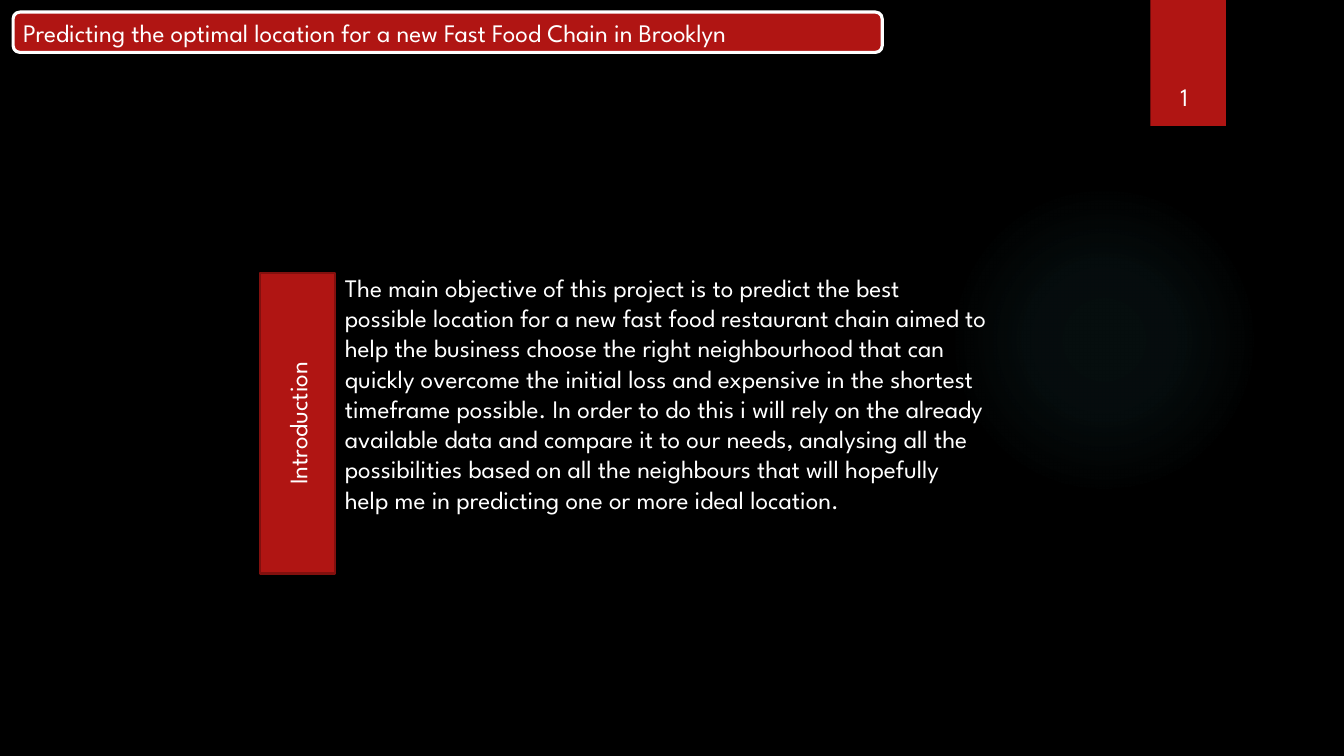
from lxml import etree
from pptx import Presentation
from pptx.dml.color import RGBColor
from pptx.enum.shapes import MSO_SHAPE
from pptx.enum.text import MSO_ANCHOR, MSO_AUTO_SIZE, PP_ALIGN
from pptx.oxml import parse_xml
from pptx.oxml.ns import nsdecls, qn
from pptx.util import Inches, Pt

RECT = MSO_SHAPE.RECTANGLE
ROUND = MSO_SHAPE.ROUNDED_RECTANGLE
OVAL = MSO_SHAPE.OVAL
TOP, MIDDLE = MSO_ANCHOR.TOP, MSO_ANCHOR.MIDDLE
LEFT, CENTER = PP_ALIGN.LEFT, PP_ALIGN.CENTER
NO_FIT = MSO_AUTO_SIZE.NONE

FONT = "League Spartan"
RED, DARK, WHITE, BLACK, TEAL = "B01513", "82100E", "FFFFFF", "000000", "50B9C1"

TITLE = "Predicting the optimal location for a new Fast Food Chain in Brooklyn"
INTRO = (
    "The main objective of this project is to predict the best possible location "
    "for a new fast food restaurant chain aimed to help the business choose the "
    "right neighbourhood that can quickly overcome the initial loss and expensive "
    "in the shortest timeframe possible. In order to do this i will rely on the "
    "already available data and compare it to our needs, analysing all the "
    "possibilities based on all the neighbours that will hopefully help me in "
    "predicting one or more ideal location."
)


def color(code):
    return RGBColor.from_string(code)


def place(shape, left, top, width, height):
    shape.left, shape.top = Inches(left), Inches(top)
    shape.width, shape.height = Inches(width), Inches(height)


def write(shape, text, align=LEFT, anchor=TOP, wrap=True, turn=None):
    frame = shape.text_frame
    frame.text = text
    frame.word_wrap = wrap
    frame.auto_size = NO_FIT
    frame.vertical_anchor = anchor
    if turn:
        frame._txBody.bodyPr.set("vert", turn)
    para = frame.paragraphs[0]
    para.alignment = align
    para.line_spacing = 1.0
    para.space_before = Pt(0)
    font = para.runs[0].font
    font.name, font.size = FONT, Pt(18)
    font.color.rgb = color(WHITE)
    return para


def unlist(para):
    """Remove the bullet and its hanging indent."""
    props = para._p.get_or_add_pPr()
    props.set("marL", "0")
    props.set("indent", "0")
    etree.SubElement(props, qn("a:buNone"))


def block(slide, kind, box, fill=None, line=None, weight=1):
    shape = slide.shapes.add_shape(kind, *map(Inches, box))
    shape.shadow.inherit = False
    if fill:
        shape.fill.solid()
        shape.fill.fore_color.rgb = color(fill)
    else:
        shape.fill.background()
    if line:
        shape.line.color.rgb = color(line)
        shape.line.width = Pt(weight)
    else:
        shape.line.fill.background()
    return shape


def glow(shape, code, stops):
    """Fill with a radial gradient; stops are (position, opacity) in percent."""
    marks = "".join(
        f'<a:gs pos="{pos * 1000}"><a:srgbClr val="{code}">'
        f'<a:alpha val="{alpha * 1000}"/></a:srgbClr></a:gs>'
        for pos, alpha in stops
    )
    grad = parse_xml(
        f'<a:gradFill {nsdecls("a")}><a:gsLst>{marks}</a:gsLst><a:path path="circle">'
        '<a:fillToRect l="50000" t="50000" r="50000" b="50000"/></a:path></a:gradFill>'
    )
    props = shape.element.spPr
    props.replace(props.find(qn("a:noFill")), grad)


def shade(shape, blur, dist, alpha):
    """Add a soft black shadow that falls straight down."""
    shape.element.spPr.find(qn("a:effectLst")).append(parse_xml(
        f'<a:outerShdw {nsdecls("a")} blurRad="{Pt(blur)}" dist="{Pt(dist)}" '
        f'dir="5400000" rotWithShape="0"><a:srgbClr val="{BLACK}">'
        f'<a:alpha val="{alpha * 1000}"/></a:srgbClr></a:outerShdw>'
    ))


def main():
    deck = Presentation()
    deck.slide_width, deck.slide_height = Inches(13.33), Inches(7.5)
    slide = deck.slides.add_slide(deck.slide_layouts[1])
    slide.background.fill.solid()
    slide.background.fill.fore_color.rgb = color(BLACK)
    title, body = slide.placeholders

    halo = block(slide, OVAL, (9.41, 1.83, 3.08, 3.08))
    glow(halo, TEAL, [(0, 7), (36, 6), (69, 0)])
    flag = block(slide, RECT, (11.41, 0, 0.75, 1.25), RED)
    shade(flag, blur=3, dist=2, alpha=45)

    place(body, 3.32, 2.65, 6.57, 3.13)
    unlist(write(body, INTRO))
    flag.element.addnext(body.element)

    bar = block(slide, ROUND, (0.13, 0.12, 8.62, 0.4), RED, WHITE, 2.25)
    place(title, 0.13, 0.12, 11.1, 0.4)
    write(title, TITLE)
    bar.element.addnext(title.element)

    label = block(slide, RECT, (2.58, 2.71, 0.74, 2.98), RED, DARK, 1.5)
    write(label, "Introduction", align=CENTER, anchor=MIDDLE, turn="vert270")

    number = slide.shapes.add_textbox(*map(Inches, (11.61, 0.76, 0.34, 0.4)))
    write(number, "1", wrap=False)
    deck.save("out.pptx")


if __name__ == "__main__":
    main()
